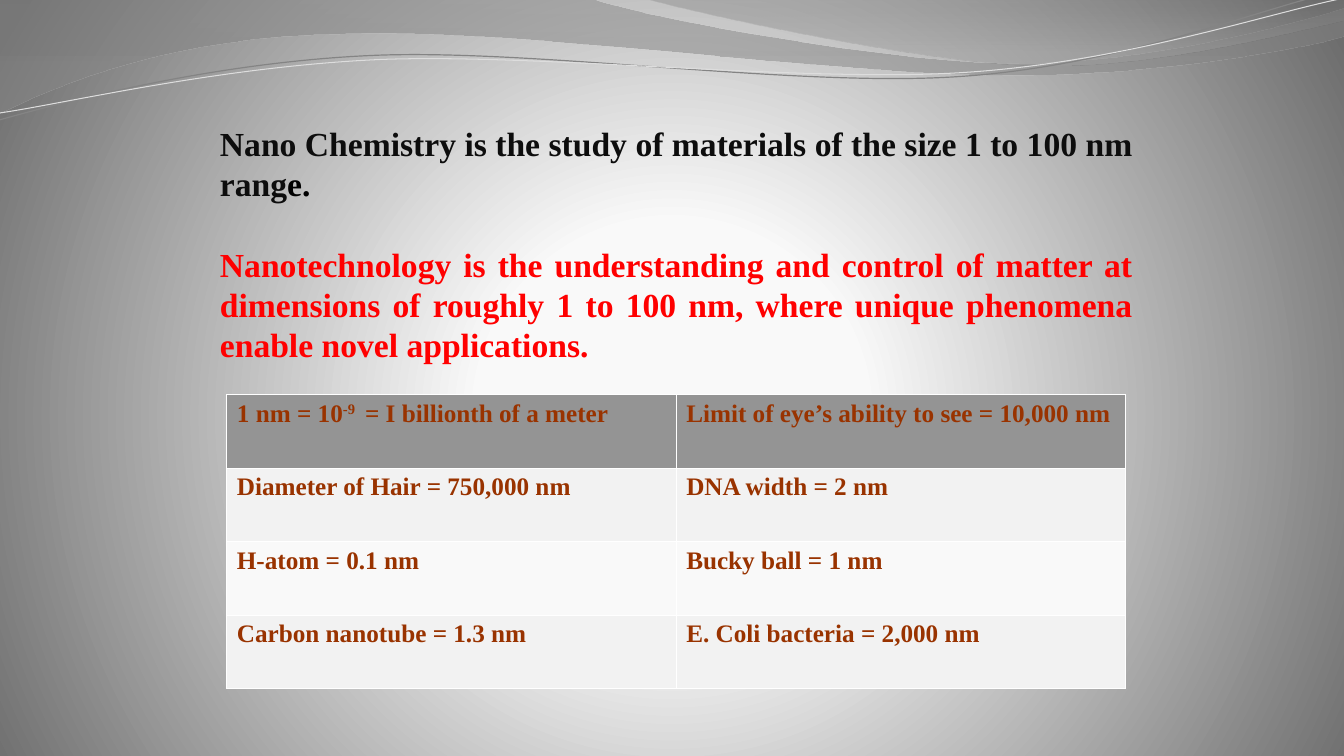
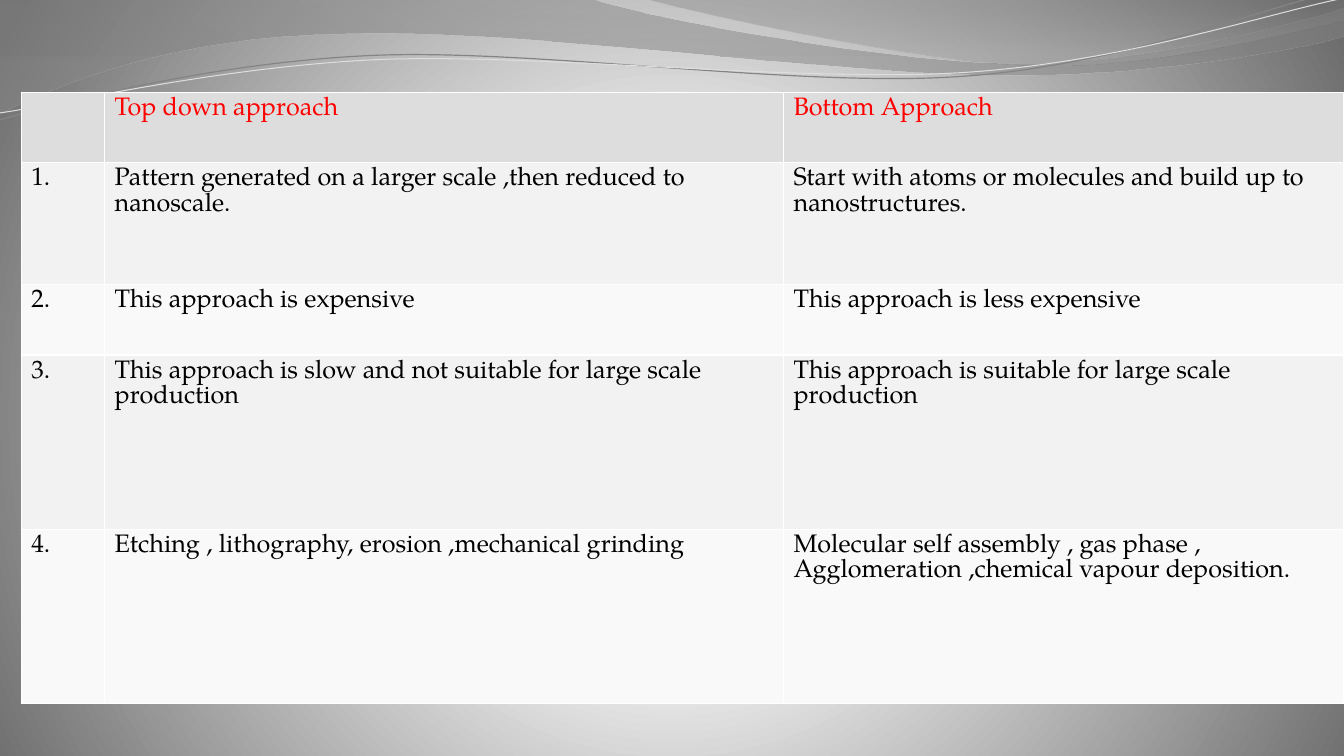
from dataclasses import dataclass

from lxml.etree import SubElement
from pptx import Presentation
from pptx.dml.color import RGBColor
from pptx.enum.text import MSO_AUTO_SIZE as AutoSize, PP_ALIGN as Align
from pptx.oxml.ns import qn
from pptx.util import Pt


@dataclass(frozen=True)
class Theme:
    serif: str = "Times New Roman"
    book: str = "TeX Gyre Pagella"
    body_size: float = 24
    cell_size: float = 18
    black: str = "000000"
    ink: str = "0D0D0D"
    red: str = "FF0000"
    rust: str = "993300"
    border: str = "FFFFFF"
    dark_header: str = "949494"
    light_header: str = "DDDDDD"
    bands: tuple[str, str] = ("F2F2F2", "F9F9F9")
    glow: str = "F9F9F9"
    edge: str = "6D6D6D"


THEME = Theme()


@dataclass(frozen=True)
class Stop:
    position: int
    color: str
    opacity: int = 100


@dataclass(frozen=True)
class Wave:
    """Segments hold two numbers for a line, six for a cubic curve."""
    start: tuple[float, float]
    segments: tuple[tuple[float, ...], ...]
    stops: tuple[Stop, ...] = ()
    line: str = ""
    weight: float = 0
    rotation: float = 0


@dataclass(frozen=True)
class Span:
    text: str
    color: str
    raised: bool = False


@dataclass(frozen=True)
class TableLook:
    font: str
    bold: bool
    header_fill: str
    header_color: str
    body_color: str


WAVES = (
    Wave((0, 0), (
        (422.6, -0.7),
        (456.5, 12.2, 637.2, 45.4, 727.9, 45.4),
        (819.4, 45.4, 920.2, 18.7, 959.8, 6.5),
        (961.2, 25.9),
        (943.9, 31.7, 835.2, 54.7, 715.7, 54),
        (596.9, 54, 366.5, 20.2, 247, 24.5),
        (123.1, 25.9, 43.9, 59.8, -0.7, 81.4),
        (0, 0),
    ), stops=(Stop(0, "848484", 45), Stop(100, "888888", 55))),
    Wave((460.1, -0.7), (
        (488.9, 7.9, 654.5, 44.6, 738, 46.8),
        (821.5, 49.7, 923, 23, 959.8, 15.1),
        (959.8, 0),
        (460.1, -0.7),
    ), stops=(Stop(0, "6F6F6F", 30), Stop(80, "9D9D9D", 45))),
    Wave((-2.3, 63.1), (
        (45.1, 52.3, 152.1, 29.2, 266, 29.6),
        (379.8, 29.9, 567.7, 66.8, 683.2, 64.4),
        (798.5, 62.6, 902.6, 25.7, 960.1, 15.5),
    ), line="848484", weight=0.85, rotation=357.3),
    Wave((-1.3, 58), (
        (44.4, 53.7, 157.2, 32.3, 272.4, 32.7),
        (386.9, 33.8, 572.2, 63.4, 687, 61.6),
        (802.3, 59.8, 904.6, 30, 962.1, 21.2),
    ), line="DDDDDD", weight=0.75, rotation=357.3),
)


# Fills
def set_gradient(fill, owner, stops: tuple[Stop, ...], focus: dict[str, int] | None = None) -> None:
    """Fill top to bottom, or as a circle around the focus rectangle."""
    fill.gradient()
    gradient = next(owner.iter(qn("a:gradFill")))
    for child in list(gradient):
        gradient.remove(child)
    stop_list = SubElement(gradient, qn("a:gsLst"))
    for stop in stops:
        mark = SubElement(stop_list, qn("a:gs"), pos=str(stop.position * 1000))
        color = SubElement(mark, qn("a:srgbClr"), val=stop.color)
        if stop.opacity < 100:
            SubElement(color, qn("a:alpha"), val=str(stop.opacity * 1000))
    if focus:
        circle = SubElement(gradient, qn("a:path"), path="circle")
        sides = {side: str(percent * 1000) for side, percent in focus.items()}
        SubElement(circle, qn("a:fillToRect"), **sides)
    else:
        SubElement(gradient, qn("a:lin"), ang="5400000", scaled="1")


# Waves
def wave_bounds(wave: Wave, steps: int = 40) -> tuple[float, float, float, float]:
    """Left, top, right and bottom of the drawn outline."""
    last = wave.start
    xs, ys = [last[0]], [last[1]]
    for segment in wave.segments:
        if len(segment) == 6:
            for step in range(steps):
                t = step / steps
                u = 1 - t
                weights = (u ** 3, 3 * u * u * t, 3 * u * t * t, t ** 3)
                xs.append(sum(w * x for w, x in zip(weights, (last + segment)[::2])))
                ys.append(sum(w * y for w, y in zip(weights, (last + segment)[1::2])))
        last = segment[-2:]
        xs.append(last[0])
        ys.append(last[1])
    return min(xs), min(ys), max(xs), max(ys)


def draw_wave(page, wave: Wave):
    left, top, right, bottom = wave_bounds(wave)
    builder = page.shapes.build_freeform(Pt(wave.start[0]), Pt(wave.start[1]))
    builder.add_line_segments([(Pt(segment[-2]), Pt(segment[-1])) for segment in wave.segments],
                              close=bool(wave.stops))
    shape = builder.convert_to_shape()
    shape.left, shape.top = Pt(left), Pt(top)
    shape.width, shape.height = Pt(right - left), Pt(bottom - top)
    shape.rotation = wave.rotation
    shape.shadow.inherit = False

    # Cubic curves take the place of the straight segments
    outline = next(shape._element.iter(qn("a:path")))
    outline.set("w", str(shape.width))
    outline.set("h", str(shape.height))
    for child in list(outline):
        outline.remove(child)
    for index, numbers in enumerate((wave.start, *wave.segments)):
        tag = "a:moveTo" if index == 0 else "a:cubicBezTo" if len(numbers) == 6 else "a:lnTo"
        command = SubElement(outline, qn(tag))
        for x, y in zip(numbers[::2], numbers[1::2]):
            SubElement(command, qn("a:pt"), x=str(Pt(x - left)), y=str(Pt(y - top)))
    if wave.stops:
        SubElement(outline, qn("a:close"))
        set_gradient(shape.fill, shape._element, wave.stops)
        shape.line.fill.background()
    else:
        shape.fill.background()
        shape.line.color.rgb = RGBColor.from_string(wave.line)
        shape.line.width = Pt(wave.weight)
    return shape


def style_master(deck, page) -> None:
    """Give the master its backdrop and move the waves from the page onto it."""
    master = deck.slide_master
    set_gradient(master.background.fill, master._element,
                 (Stop(0, THEME.glow), Stop(25, THEME.glow), Stop(100, THEME.edge)),
                 focus={"l": 10, "t": 110, "r": 10, "b": 100})
    for index, wave in enumerate(WAVES):
        element = draw_wave(page, wave)._element
        next(element.iter(qn("p:cNvPr"))).set("id", str(20 + index))
        master.shapes._spTree.append(element)


# Text
def write_text(para, text: str, *, font: str, size: float, color: str,
               bold: bool = False, raised: bool = False) -> None:
    run = para.add_run()
    run.text = text
    run.font.name = font
    run.font.size = Pt(size)
    run.font.bold = bold
    run.font.color.rgb = RGBColor.from_string(color)
    if raised:
        run._r.get_or_add_rPr().set("baseline", "30000")


def add_statements(page, left: float, top: float, width: float, height: float,
                   statements: list[list[Span]]) -> None:
    box = page.shapes.add_textbox(Pt(left), Pt(top), Pt(width), Pt(height))
    frame = box.text_frame
    frame.word_wrap = True
    frame.auto_size = AutoSize.SHAPE_TO_FIT_TEXT
    for index, spans in enumerate(statements):
        para = frame.add_paragraph() if index else frame.paragraphs[0]
        para.alignment = Align.JUSTIFY
        para.space_before = Pt(28.8 if index else 0)
        for span in spans:
            write_text(para, span.text, font=THEME.serif, size=THEME.body_size,
                       color=span.color, bold=True)


# Tables
def set_borders(cell) -> None:
    properties = cell._tc.get_or_add_tcPr()
    for index, side in enumerate(("lnL", "lnR", "lnT", "lnB")):
        line = properties.makeelement(qn(f"a:{side}"), {"w": str(Pt(1))})
        solid = SubElement(line, qn("a:solidFill"))
        SubElement(solid, qn("a:srgbClr"), val=THEME.border)
        properties.insert(index, line)


def add_grid(page, left: float, top: float, columns: list[float], heights: list[float],
             rows: list[list[str | list[Span]]], look: TableLook) -> None:
    table = page.shapes.add_table(len(rows), len(columns), Pt(left), Pt(top),
                                  Pt(sum(columns)), Pt(sum(heights))).table
    table.first_row = False
    table.horz_banding = False
    for column, width in zip(table.columns, columns):
        column.width = Pt(width)
    for index, (height, texts) in enumerate(zip(heights, rows)):
        table.rows[index].height = Pt(height)
        fill = THEME.bands[(index - 1) % 2] if index else look.header_fill
        color = look.body_color if index else look.header_color
        for cell, content in zip(table.rows[index].cells, texts):
            cell.fill.solid()
            cell.fill.fore_color.rgb = RGBColor.from_string(fill)
            set_borders(cell)
            spans = [Span(content, color)] if isinstance(content, str) else content
            for span in spans:
                if span.text:
                    write_text(cell.text_frame.paragraphs[0], span.text, font=look.font,
                               size=THEME.cell_size, color=span.color,
                               bold=look.bold, raised=span.raised)


# Pages
def build_definition_page(page) -> None:
    add_statements(page, 150, 84, 666, 181.5, [
        [Span("Nano Chemistry is the study of materials of the size 1 to 100 nm rang", THEME.ink),
         Span("e.", THEME.black)],
        [Span("Nanotechnology is the understanding and control of matter at dimensions of "
              "roughly 1 to 100 nm, where unique phenomena enable novel applications.",
              THEME.red)],
    ])
    nanometre = [Span("1 nm = 10", THEME.rust), Span("-9 ", THEME.rust, raised=True),
                 Span(" = I billionth of a meter", THEME.rust)]
    add_grid(page, 162, 282, [321, 321], [52.5] * 4, [
        [nanometre, "Limit of eye’s ability to see = 10,000 nm"],
        ["Diameter of Hair = 750,000 nm", "DNA width = 2 nm"],
        ["H-atom = 0.1 nm", "Bucky ball = 1 nm"],
        ["Carbon nanotube = 1.3 nm", "E. Coli bacteria = 2,000 nm"],
    ], TableLook(THEME.serif, True, THEME.dark_header, THEME.rust, THEME.rust))


def build_approach_page(page) -> None:
    add_grid(page, 15.2, 66, [59.5, 485, 400.3], [50.2, 87, 50.4, 124.5, 124.5], [
        ["", "Top down approach", "Bottom Approach"],
        ["1.", "Pattern generated on a larger scale ,then reduced to nanoscale.",
         "Start with atoms or molecules and build up to nanostructures."],
        ["2.", "This approach is expensive", "This approach is less expensive"],
        ["3.", "This approach is slow and not suitable for large scale production",
         "This approach is suitable for large scale production"],
        ["4.", "Etching , lithography, erosion ,mechanical grinding",
         "Molecular self assembly , gas phase , Agglomeration ,chemical vapour deposition."],
    ], TableLook(THEME.book, False, THEME.light_header, THEME.red, THEME.black))


def main() -> None:
    deck = Presentation()
    deck.slide_width, deck.slide_height = Pt(960), Pt(540)
    blank = deck.slide_layouts[6]
    definition_page, approach_page = (deck.slides.add_slide(blank) for _ in range(2))
    style_master(deck, definition_page)
    build_definition_page(definition_page)
    build_approach_page(approach_page)
    deck.save("out.pptx")


if __name__ == "__main__":
    main()
